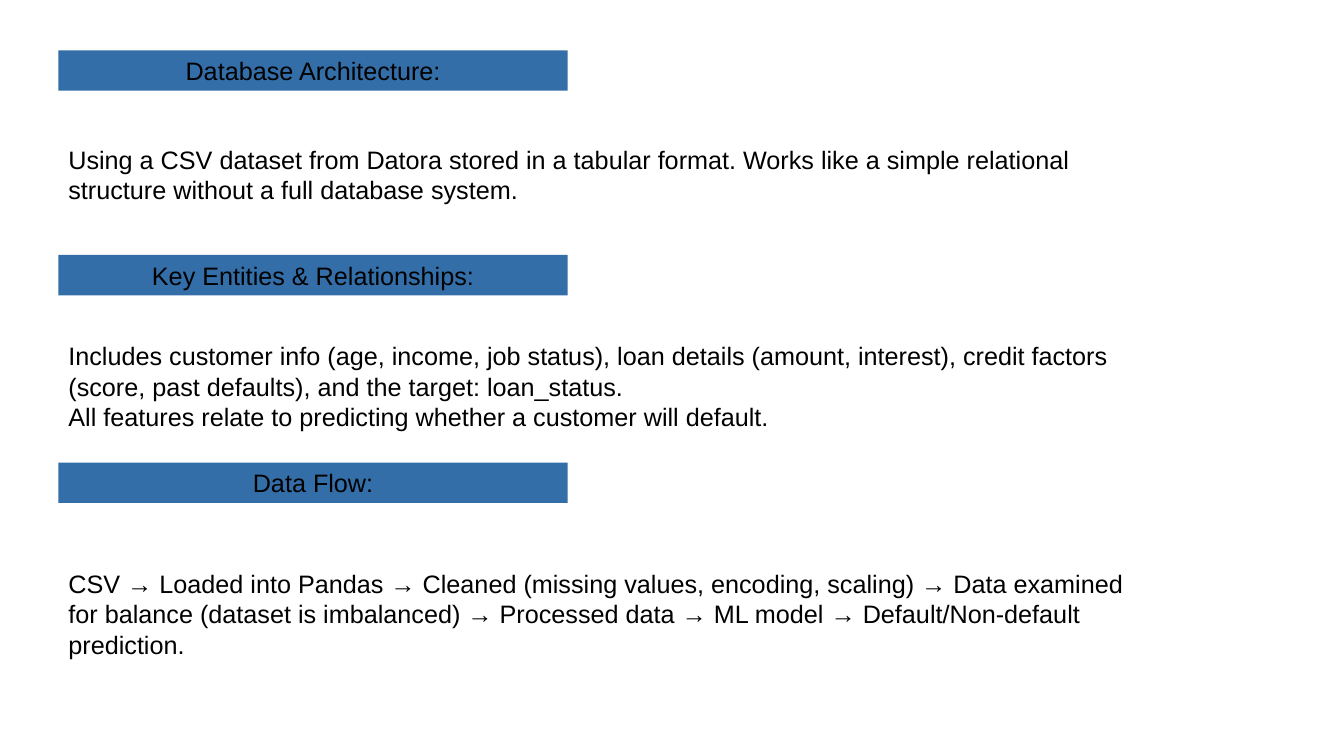
from dataclasses import dataclass

from pptx import Presentation
from pptx.dml.color import RGBColor
from pptx.enum.shapes import MSO_SHAPE
from pptx.enum.text import MSO_ANCHOR, MSO_AUTO_SIZE, PP_ALIGN
from pptx.util import Inches, Pt

# Content: heading, body
SECTIONS = [
    ("Database Architecture:",
     "Using a CSV dataset from Datora stored in a tabular format. Works like "
     "a simple relational structure without a full database system."),
    ("Key Entities & Relationships:",
     "Includes customer info (age, income, job status), loan details (amount, "
     "interest), credit factors (score, past defaults), and the target: loan_status.\n"
     "All features relate to predicting whether a customer will default."),
    ("Data Flow:",
     "CSV → Loaded into Pandas → Cleaned (missing values, encoding, scaling) → "
     "Data examined for balance (dataset is imbalanced) → Processed data → "
     "ML model → Default/Non-default prediction."),
]

# Layout in inches: heading top, body top, body width, body line count
ROWS = [(0.5, 1.38, 10.84, 2), (2.53, 3.33, 10.91, 3), (4.59, 5.59, 10.69, 3)]
LEFT, BAR_W = 0.58, 5.05
LINE_H, PADDING = 0.3, 0.1


@dataclass(frozen=True)
class Theme:
    font: str = "Arial"
    size: int = 18
    text: RGBColor = RGBColor(0, 0, 0)
    bar: RGBColor = RGBColor(0x33, 0x6E, 0xA8)


THEME = Theme()


def box(top, width, lines):
    """Left, top, width and height of a block holding some lines of text."""
    return [Inches(v) for v in (LEFT, top, width, lines * LINE_H + PADDING)]


def set_text(sp, text, align):
    tf = sp.text_frame
    tf.word_wrap = True
    tf.auto_size = MSO_AUTO_SIZE.SHAPE_TO_FIT_TEXT
    p = tf.paragraphs[0]
    p.text = text
    p.alignment = align
    for r in p.runs:
        r.font.name = THEME.font
        r.font.size = Pt(THEME.size)
        r.font.color.rgb = THEME.text


def add_heading(s, text, top):
    sp = s.shapes.add_shape(MSO_SHAPE.RECTANGLE, *box(top, BAR_W, 1))
    sp.shadow.inherit = False
    sp.fill.solid()
    sp.fill.fore_color.rgb = THEME.bar
    sp.line.fill.background()
    sp.text_frame.vertical_anchor = MSO_ANCHOR.MIDDLE
    set_text(sp, text, PP_ALIGN.CENTER)


def add_body(s, text, top, width, lines):
    sp = s.shapes.add_textbox(*box(top, width, lines))
    set_text(sp, text, PP_ALIGN.LEFT)


def main():
    prs = Presentation()
    prs.slide_width, prs.slide_height = Inches(13.33), Inches(7.5)
    s = prs.slides.add_slide(prs.slide_layouts[6])

    # One heading bar and one body per section
    for (heading, body), (bar_top, body_top, width, lines) in zip(SECTIONS, ROWS):
        add_heading(s, heading, bar_top)
        add_body(s, body, body_top, width, lines)

    prs.save("out.pptx")


if __name__ == "__main__":
    main()
